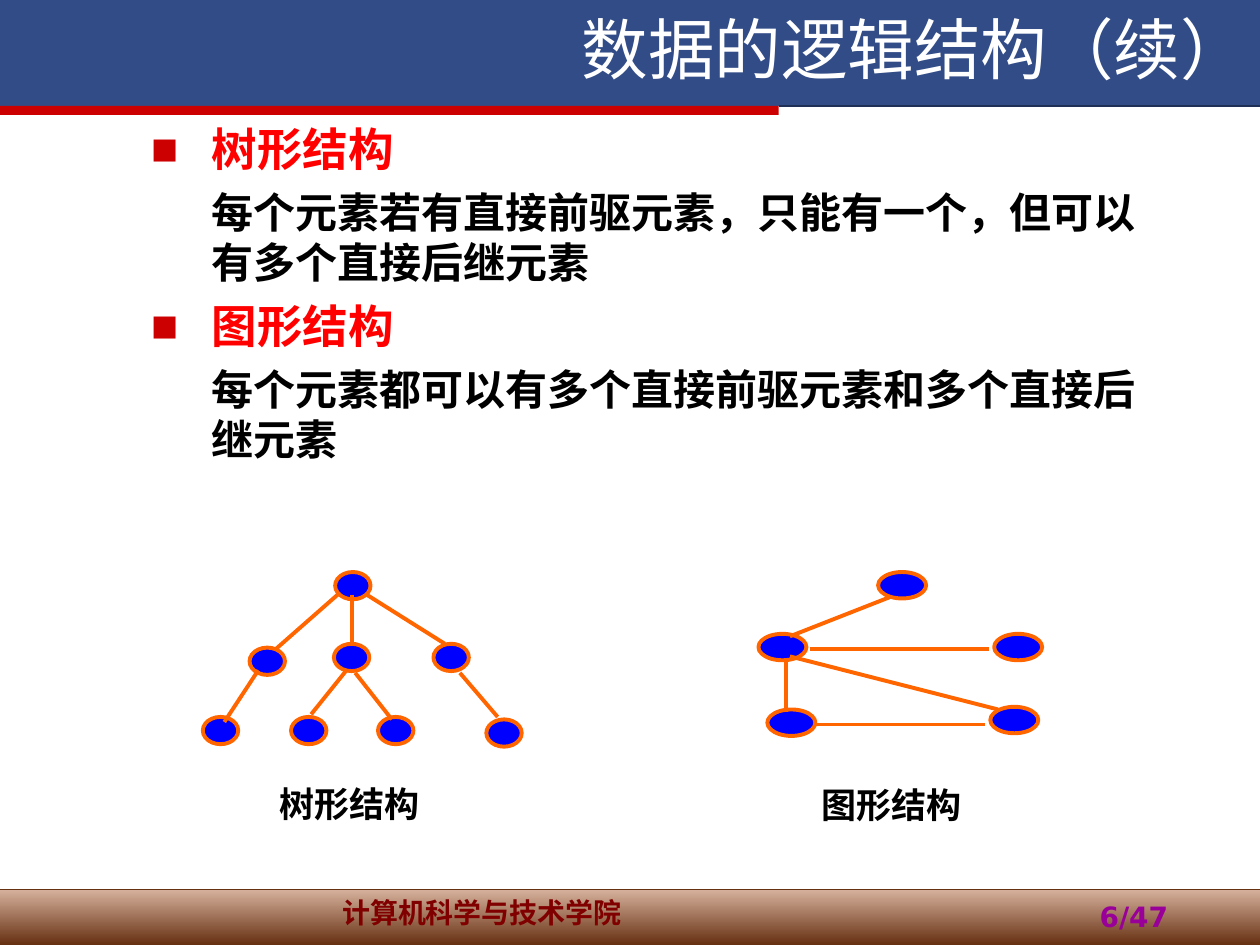
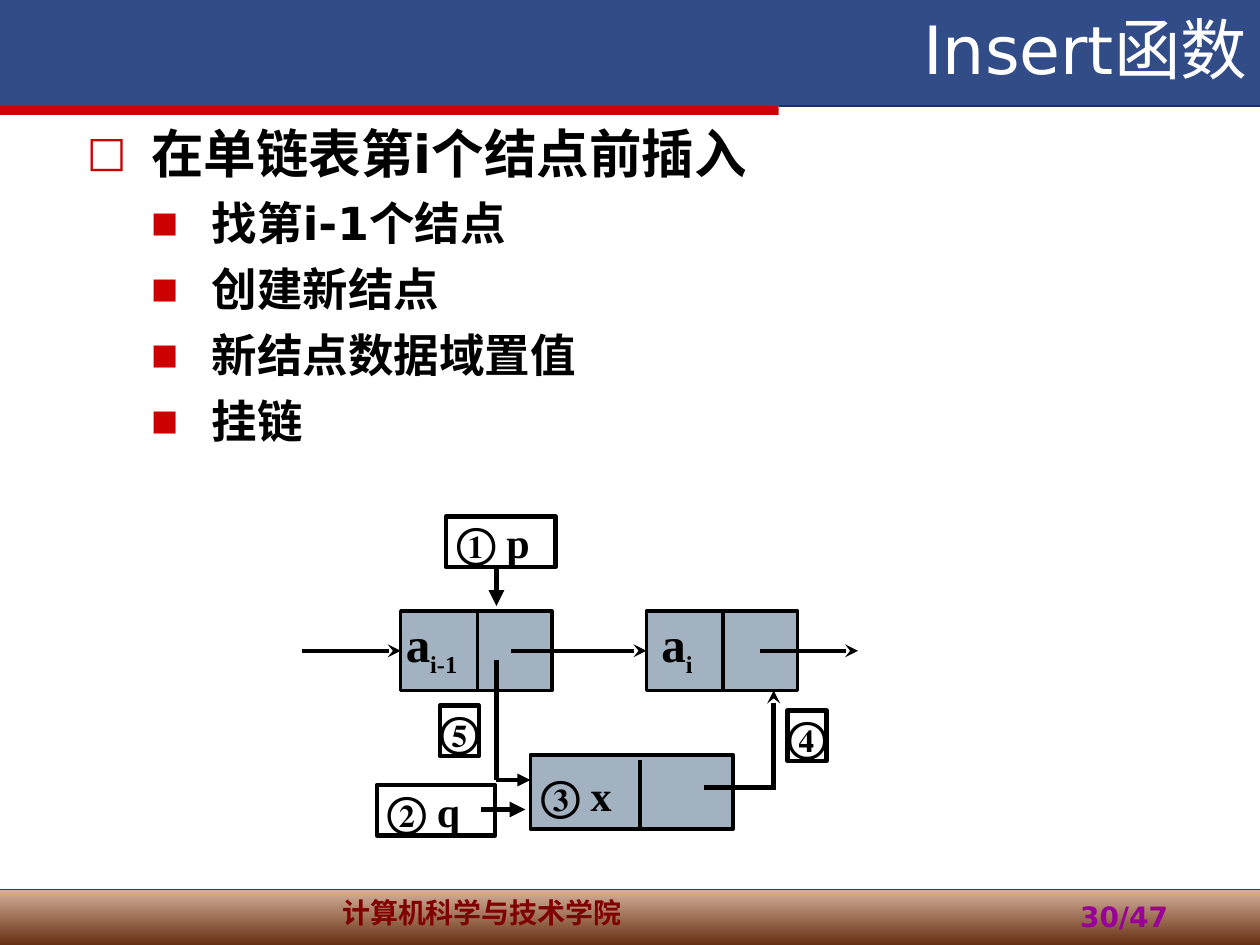
import pptx
import pptx.dml.color
import pptx.enum.shapes
import pptx.enum.text
import pptx.oxml.ns
import pptx.util
from lxml import etree

Pt = pptx.util.Pt
qn = pptx.oxml.ns.qn
SHAPES = pptx.enum.shapes.MSO_SHAPE
ALIGN = pptx.enum.text.PP_ALIGN
ANCHOR = pptx.enum.text.MSO_ANCHOR

COLORS = {
    "white": "FFFFFF",
    "black": "000000",
    "band": "314C87",
    "band_edge": "1F2F55",
    "bar": "CC0000",
    "footer_top": "D6B19C",
    "footer_bottom": "663012",
    "school": "800000",
    "page": "990099",
    "heading": "FF0000",
    "node": "0000FF",
    "edge": "FF6600",
    "cell": "A3B2C1",
}
SANS = "DejaVu Sans"
SERIF = "Times New Roman"
BODY_STYLES = {
    "topic": {"level": 0, "left": 36.7, "hang": 36.7, "bullet": "□", "scale": 80, "size": 30, "before": 7.5},
    "item": {"level": 1, "left": 71.3, "hang": 34.6, "bullet": "■", "scale": 63, "size": 26, "before": 6.5},
    "detail": {"level": 1, "left": 71.3, "hang": 0, "bullet": None, "scale": 100, "size": 24, "before": 6},
}

TREE_NODE = (20.2, 15.6)
TREE_NODES = [
    (191.5, 326.9), (142.6, 370.1), (190.8, 367.9), (115.9, 409.7),
    (166.3, 409.7), (247.7, 367.9), (216, 409.7), (277.9, 411.1),
]
TREE_EDGES = [
    (193, 339.8, 157.7, 370.8), (147.6, 383, 128.2, 412.6),
    (209.5, 339.8, 254.2, 367.9), (200.9, 339.8, 200.9, 369.4),
    (198, 383, 177.8, 408.2), (203, 384.5, 223.9, 411.1),
    (262.8, 384.5, 284.4, 409.7),
]
GRAPH_NODE = (27.4, 15.1)
GRAPH_NODES = [
    (501.8, 326.9), (433.4, 362.2), (568.1, 362.2), (438.5, 405.4), (565.9, 403.9),
]
GRAPH_EDGES = [
    (508.3, 341.3, 451.4, 363.6), (449.3, 378, 449.3, 406.8),
    (463, 370.8, 565.2, 370.8), (451.4, 375.1, 570.2, 405.4),
    (465.1, 414, 563, 414),
]


def rgb(name):
    return pptx.dml.color.RGBColor.from_string(COLORS[name])


def style_run(span, size, color, bold=True, font=SANS):
    span.font.size = Pt(size)
    span.font.name = font
    span.font.bold = bold
    span.font.color.rgb = rgb(color)


def set_insets(frame, left, top, right, bottom):
    frame.margin_left, frame.margin_top = Pt(left), Pt(top)
    frame.margin_right, frame.margin_bottom = Pt(right), Pt(bottom)


def place(shape, left, top, width, height):
    shape.left, shape.top = Pt(left), Pt(top)
    shape.width, shape.height = Pt(width), Pt(height)


def add_shape(slide, kind, area, fill=None, line=None, weight=2):
    shape = slide.shapes.add_shape(kind, *map(Pt, area))
    shape.shadow.inherit = False
    if fill:
        shape.fill.solid()
        shape.fill.fore_color.rgb = rgb(fill)
    else:
        shape.fill.background()
    if line:
        shape.line.color.rgb = rgb(line)
        shape.line.width = Pt(weight)
    else:
        shape.line.fill.background()
    return shape


def add_line(slide, ends, color="black", weight=2.5, arrow=None):
    line = slide.shapes.add_connector(
        pptx.enum.shapes.MSO_CONNECTOR.STRAIGHT, *map(Pt, ends))
    line.line.color.rgb = rgb(color)
    line.line.width = Pt(weight)
    properties = line.element.spPr
    if arrow:
        etree.SubElement(properties.find(qn("a:ln")), qn("a:tailEnd"), type=arrow)
    etree.SubElement(properties, qn("a:effectLst"))
    return line


def add_text(slide, area, text, size, color, align=ALIGN.LEFT, wrap=True):
    box = slide.shapes.add_textbox(*map(Pt, area))
    box.text_frame.word_wrap = wrap
    para = box.text_frame.paragraphs[0]
    para.text = text
    para.alignment = align
    style_run(para.runs[0], size, color)
    return box


def add_frame(slide):
    footer = add_shape(slide, SHAPES.RECTANGLE, (0, 508.3, 720, 31.7), "footer_top")
    footer.fill.gradient()
    footer.fill.gradient_angle = 270
    stops = zip(footer.fill.gradient_stops, ("footer_top", "footer_bottom"), (0, 1))
    for stop, color, position in stops:
        stop.color.rgb = rgb(color)
        stop.position = position
    school = add_text(slide, (161.3, 508.3, 228.2, 31.7), "计算机科学与技术学院",
                      16, "school", ALIGN.CENTER)
    band = add_shape(slide, SHAPES.RECTANGLE, (0, 0, 720, 60.5), "band")
    bar = add_shape(slide, SHAPES.RECTANGLE, (0, 60.5, 445, 5.2), "bar")
    band_edge = add_line(slide, (445, 60.5, 720, 60.5), "band_edge", 0.75)
    footer_edge = add_line(slide, (0, 508.3, 720, 508.3), "footer_bottom", 0.25)
    tree = slide.slide_layout.element.cSld.spTree
    for shape in (footer, footer_edge, school, band, bar, band_edge):
        tree.append(shape.element)


def add_page(deck, title, number):
    page = deck.slides.add_slide(deck.slide_layouts[1])
    heading = page.shapes.title
    place(heading, 223.9, 0, 496.1, 54)
    frame = heading.text_frame
    frame.text = title
    frame.vertical_anchor = ANCHOR.BOTTOM
    frame.auto_size = pptx.enum.text.MSO_AUTO_SIZE.NONE
    frame.paragraphs[0].alignment = ALIGN.RIGHT
    style_run(frame.paragraphs[0].runs[0], 38, "white", False)
    add_text(page, (518.4, 510.5, 156.2, 31.7), number, 16, "page", ALIGN.RIGHT)
    return page


def set_bullet(para, style):
    properties = para._p.get_or_add_pPr()
    properties.set("marL", str(Pt(style["left"])))
    properties.set("indent", str(-Pt(style["hang"])))
    if not style["bullet"]:
        etree.SubElement(properties, qn("a:buNone"))
        return
    color = etree.SubElement(properties, qn("a:buClr"))
    etree.SubElement(color, qn("a:srgbClr"), val=COLORS["bar"])
    etree.SubElement(properties, qn("a:buSzPct"), val=str(style["scale"] * 1000))
    etree.SubElement(properties, qn("a:buFont"), typeface=SANS)
    etree.SubElement(properties, qn("a:buChar"), char=style["bullet"])


def fill_body(page, entries):
    body = page.placeholders[1]
    place(body, 42.5, 65.5, 630, 436.3)
    frame = body.text_frame
    frame.auto_size = pptx.enum.text.MSO_AUTO_SIZE.NONE
    for index, (kind, text, color) in enumerate(entries):
        style = BODY_STYLES[kind]
        para = frame.add_paragraph() if index else frame.paragraphs[0]
        para.text = text
        para.level = style["level"]
        set_bullet(para, style)
        para.space_before = Pt(style["before"] if index else 0)
        style_run(para.runs[0], style["size"], color)


def add_network(page, size, nodes, edges):
    for node in nodes:
        add_shape(page, SHAPES.OVAL, (*node, *size), "node", "edge", 2.25)
    for edge in edges:
        add_line(page, edge, "edge", 2.25)


def label_shape(shape, text, size=24, insets=(0, 0, 0, 0), wrap=True):
    frame = shape.text_frame
    frame.word_wrap = wrap
    frame.vertical_anchor = ANCHOR.TOP
    set_insets(frame, *insets)
    para = frame.paragraphs[0]
    para.text = text
    para.alignment = ALIGN.LEFT
    style_run(para.runs[0], size, "black", font=SERIF)
    return para


def add_list_node(page, left, subscript, inset):
    node = add_shape(page, SHAPES.RECTANGLE, (left, 349.2, 86.4, 45.4), "cell", "black")
    para = label_shape(node, "a", 28, (inset, 0, 0, 5.8), False)
    node.text_frame.vertical_anchor = ANCHOR.MIDDLE
    span = para.add_run()
    span.text = subscript
    style_run(span, 24, "black", font=SERIF)
    span._r.get_or_add_rPr().set("baseline", "-25000")
    add_line(page, (left + 43.9, 349.2, left + 43.9, 394.6), weight=2)
    return node


def add_step(page, left, top, width, text, inset=0):
    step = add_shape(page, SHAPES.RECTANGLE, (left, top, width, 28.8), None, "black", 2.5)
    label_shape(step, text, insets=(inset, 0, 0, 0), wrap=inset > 0)


def draw_insertion(page):
    entry = add_line(page, (172.8, 371.9, 229, 371.9), arrow="stealth")
    previous = add_list_node(page, 229, "i-1", 2.9)
    current = add_list_node(page, 369.4, "i", 8.6)
    entry.end_connect(previous, 1)
    link = add_line(page, (292.3, 371.9, 369.4, 371.9), arrow="stealth")
    link.end_connect(current, 1)
    add_line(page, (434.2, 371.9, 490.3, 371.9), arrow="stealth")

    add_shape(page, SHAPES.RECTANGLE, (303.1, 431.3, 115.9, 42.5), "cell", "black")
    add_line(page, (365.8, 434.2, 365.8, 473.8), weight=2)
    new_label = page.shapes.add_textbox(Pt(303.1), Pt(439.9), Pt(70.6), Pt(28.8))
    label_shape(new_label, "③ x", insets=(6, 0, 0, 0))

    add_step(page, 254.9, 295.2, 62.6, "① p", 6)
    add_line(page, (283.7, 324, 283.7, 346.3), weight=3, arrow="triangle")
    add_step(page, 215.3, 448.6, 67.7, "② q", 6)
    add_line(page, (275, 462.6, 300.2, 462.6), weight=3, arrow="triangle")

    add_line(page, (442.1, 451.4, 442.1, 394.6), arrow="stealth")
    add_line(page, (402.5, 450, 442.1, 450))
    add_step(page, 450, 406.1, 22.3, "④")
    add_line(page, (283.7, 377.3, 283.7, 445.7))
    add_line(page, (283.7, 445.7, 303.1, 445.7), arrow="triangle")
    add_step(page, 251.3, 403.2, 22.3, "⑤")


def main():
    deck = pptx.Presentation()
    deck.slide_width, deck.slide_height = Pt(720), Pt(540)

    page = add_page(deck, "数据的逻辑结构（续）", "6/47")
    add_frame(page)
    fill_body(page, [
        ("item", "树形结构", "heading"),
        ("detail", "每个元素若有直接前驱元素，只能有一个，但可以有多个直接后继元素", "black"),
        ("item", "图形结构", "heading"),
        ("detail", "每个元素都可以有多个直接前驱元素和多个直接后继元素", "black"),
    ])
    add_network(page, TREE_NODE, TREE_NODES, TREE_EDGES)
    add_network(page, GRAPH_NODE, GRAPH_NODES, GRAPH_EDGES)
    add_text(page, (152.6, 443.5, 94.3, 31.7), "树形结构", 20, "black", wrap=False)
    add_text(page, (462.2, 444.2, 94.3, 31.7), "图形结构", 20, "black", wrap=False)

    page = add_page(deck, "Insert函数", "30/47")
    steps = ["找第i-1个结点", "创建新结点", "新结点数据域置值", "挂链"]
    fill_body(page, [("topic", "在单链表第i个结点前插入", "black")]
              + [("item", step, "black") for step in steps])
    draw_insertion(page)

    deck.save("out.pptx")


if __name__ == "__main__":
    main()
